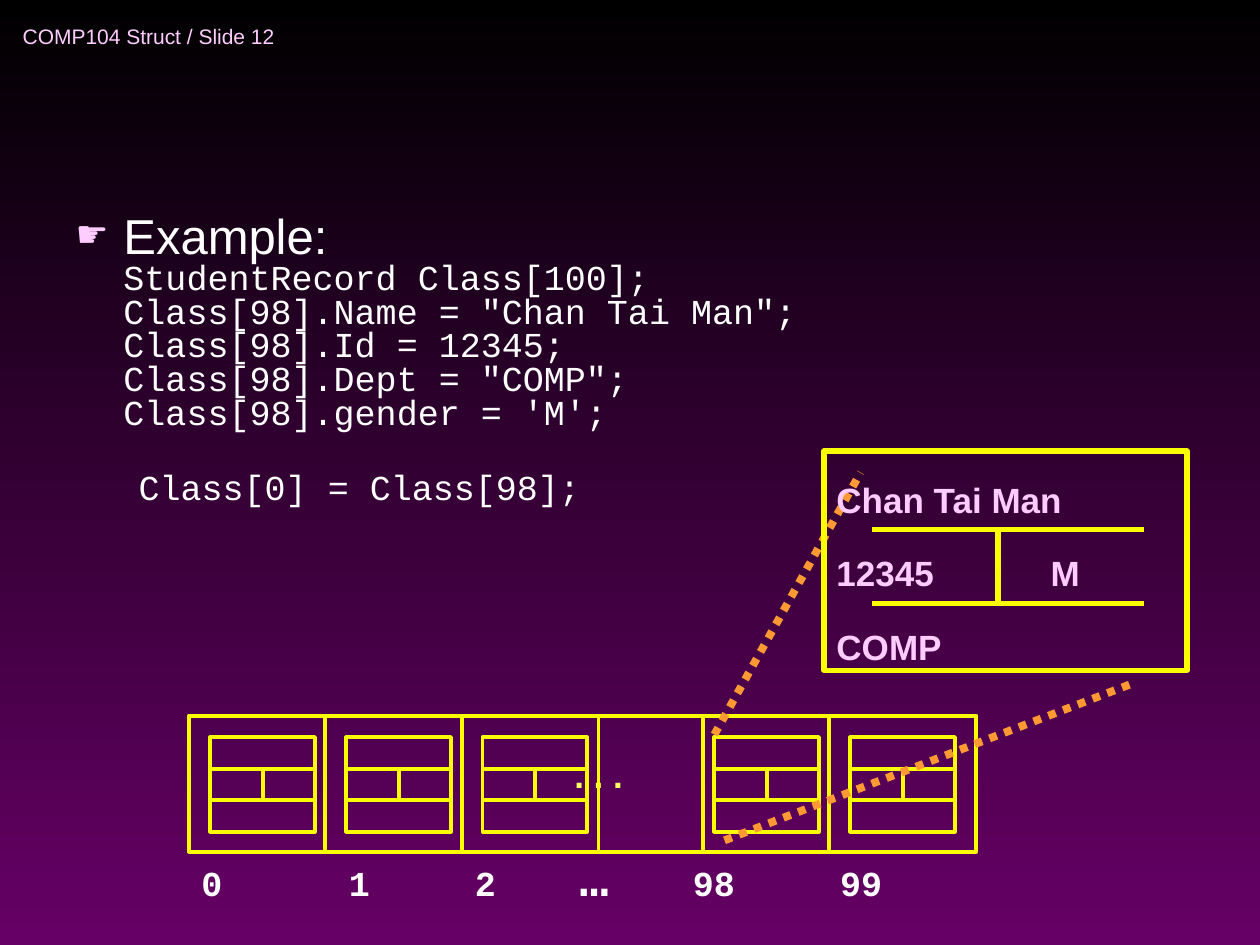
from dataclasses import dataclass

from lxml import etree
from pptx import Presentation
from pptx.dml.color import RGBColor
from pptx.enum.dml import MSO_LINE
from pptx.enum.shapes import MSO_CONNECTOR, MSO_SHAPE
from pptx.enum.text import MSO_ANCHOR, MSO_AUTO_SIZE, PP_ALIGN
from pptx.oxml.ns import qn
from pptx.util import Inches, Pt

RECT = MSO_SHAPE.RECTANGLE
STRAIGHT = MSO_CONNECTOR.STRAIGHT
DOTS = MSO_LINE.ROUND_DOT
LEFT = PP_ALIGN.LEFT
TOP, MIDDLE = MSO_ANCHOR.TOP, MSO_ANCHOR.MIDDLE
FIXED = MSO_AUTO_SIZE.NONE

BLACK = RGBColor(0x00, 0x00, 0x00)
PURPLE = RGBColor(0x66, 0x00, 0x66)
WHITE = RGBColor(0xFF, 0xFF, 0xFF)
PINK = RGBColor(0xFF, 0xCC, 0xFF)
YELLOW = RGBColor(0xFA, 0xFD, 0x00)
PALE = RGBColor(0xFF, 0xFF, 0x66)
ORANGE = RGBColor(0xFF, 0x99, 0x33)
SANS, MONO = "Arial", "Courier New"


@dataclass
class Box:
    x: float
    y: float
    w: float
    h: float

    def size(self) -> tuple:
        return tuple(Inches(v) for v in (self.x, self.y, self.w, self.h))


@dataclass
class Style:
    font: str
    size: int
    color: RGBColor
    bold: bool = False


def add_run(para, text: str, style: Style) -> None:
    run = para.add_run()
    run.text = text
    font = run.font
    font.name, font.size, font.bold = style.font, Pt(style.size), style.bold
    font.color.rgb = style.color


def set_frame(shape, anchor=TOP):
    frame = shape.text_frame
    frame.word_wrap = True
    frame.auto_size = FIXED
    frame.vertical_anchor = anchor
    return frame


def place(shape, box: Box) -> None:
    shape.left, shape.top, shape.width, shape.height = box.size()


def set_indent(para, margin: float, first: float):
    props = para._p.get_or_add_pPr()
    props.set("marL", str(Inches(margin)))
    props.set("indent", str(Inches(first)))
    return props


def set_tabs(para, stops: list) -> None:
    tabs = etree.SubElement(para._p.get_or_add_pPr(), qn("a:tabLst"))
    for stop in stops:
        etree.SubElement(tabs, qn("a:tab"), pos=str(Inches(stop)), algn="l")


def add_bullet(props, char: str, color: RGBColor, percent: int) -> None:
    tint = etree.SubElement(props, qn("a:buClr"))
    etree.SubElement(tint, qn("a:srgbClr"), val=str(color))
    etree.SubElement(props, qn("a:buSzPct"), val=str(percent * 1000))
    etree.SubElement(props, qn("a:buChar"), char=char)


def add_rect(shapes, box: Box, width: float):
    rect = shapes.add_shape(RECT, *box.size())
    rect.shadow.inherit = False
    rect.fill.background()
    rect.line.color.rgb = YELLOW
    rect.line.width = Pt(width)
    return rect


def add_line(shapes, start: tuple, end: tuple, width: float, color=YELLOW, dash=None) -> None:
    line = shapes.add_connector(STRAIGHT, *(Inches(v) for v in start + end))
    line.line.color.rgb = color
    line.line.width = Pt(width)
    if dash is not None:
        line.line.dash_style = dash
    etree.SubElement(line._element.spPr, qn("a:effectLst"))


def add_split(shapes, box: Box, mid: float, width: float) -> None:
    """Two rules at top and bottom of the box, joined by an upright at mid."""
    low, right = box.y + box.h, box.x + box.w
    add_line(shapes, (box.x, box.y), (right, box.y), width)
    add_line(shapes, (box.x, low), (right, low), width)
    add_line(shapes, (mid, box.y), (mid, low), width)


def add_record(shapes, x: float) -> None:
    add_rect(shapes, Box(x, 5.85, 0.83, 0.75), 2.25)
    add_split(shapes, Box(x, 6.1, 0.83, 0.25), x + 0.415, 2.25)


def add_label(shapes, box: Box, runs: list, stops: list) -> None:
    para = set_frame(shapes.add_textbox(*box.size())).paragraphs[0]
    set_tabs(para, stops)
    for text, style in runs:
        add_run(para, text, style)


def add_header(shapes) -> None:
    title = shapes.title
    place(title, Box(0.08, 0.08, 2.75, 0.42))
    para = set_frame(title, MIDDLE).paragraphs[0]
    para.alignment = LEFT
    add_run(para, "COMP104 Struct / Slide 12", Style(SANS, 12, PINK))


def add_body(body) -> None:
    place(body, Box(0.5, 1.67, 8.42, 2.58))
    frame = set_frame(body)
    code = Style(MONO, 20, WHITE)
    lines = [
        "StudentRecord Class[100];",
        'Class[98].Name = "Chan Tai Man";',
        "Class[98].Id = 12345;",
        'Class[98].Dept = "COMP";',
        "Class[98].gender = 'M';",
    ]
    first = frame.paragraphs[0]
    first.line_spacing, first.space_before = 0.8, Pt(0)
    add_bullet(set_indent(first, 0.38, -0.38), "☛", PINK, 75)
    add_run(first, "Example:", Style(SANS, 28, WHITE))
    for line in lines:
        first.add_line_break()
        add_run(first, line, code)

    last = frame.add_paragraph()
    last.line_spacing, last.space_before = 0.8, Pt(24)
    etree.SubElement(set_indent(last, 0.5, 0), qn("a:buNone"))
    add_run(last, "Class[0] = Class[98];", code)


def add_array(shapes) -> None:
    for x in (1.67, 2.75, 3.83, 5.67, 6.75):
        add_record(shapes, x)
    add_label(shapes, Box(4.46, 5.93, 1.33, 0.44),
              [(". . .", Style(SANS, 20, PALE, True))], [])
    add_rect(shapes, Box(1.5, 5.68, 6.25, 1.08), 2.25)
    for x in (2.58, 3.67, 4.75, 5.58, 6.58):
        add_line(shapes, (x, 5.68), (x, 6.76), 2.25)
    small, big = Style(MONO, 20, WHITE, True), Style(MONO, 28, WHITE, True)
    add_label(shapes, Box(1.5, 6.68, 6.36, 0.57),
              [("0\t1\t2\t", small), ("…", big), ("\t98\t99", small)],
              [1.17, 2.17, 3, 3.9, 5.07])


def add_detail(shapes) -> None:
    for start, end in (((5.67, 5.83), (6.83, 3.75)), ((5.75, 6.67), (9, 5.42))):
        add_line(shapes, start, end, 4.5, ORANGE, DOTS)
    frame = set_frame(add_rect(shapes, Box(6.54, 3.58, 2.88, 1.74), 3))
    for row, text in enumerate(("Chan Tai Man", "12345\tM", "COMP")):
        para = frame.add_paragraph() if row else frame.paragraphs[0]
        para.alignment = LEFT
        para.line_spacing = 1.5
        para.space_before = Pt(6 if row else 0)
        set_tabs(para, [1.7])
        add_run(para, text, Style(SANS, 20, PINK, True))
    add_split(shapes, Box(6.92, 4.2, 2.16, 0.59), 7.92, 3)


def main() -> None:
    deck = Presentation()
    deck.slide_width, deck.slide_height = Inches(10), Inches(7.5)
    slide = deck.slides.add_slide(deck.slide_layouts[1])

    # Background, black at the top
    fill = slide.background.fill
    fill.gradient()
    fill.gradient_angle = 270
    for stop, color in zip(fill.gradient_stops, (BLACK, PURPLE)):
        stop.color.rgb = color

    # Text, then the array and its enlarged record
    add_header(slide.shapes)
    add_body(slide.placeholders[1])
    add_array(slide.shapes)
    add_detail(slide.shapes)
    deck.save("out.pptx")


if __name__ == "__main__":
    main()
